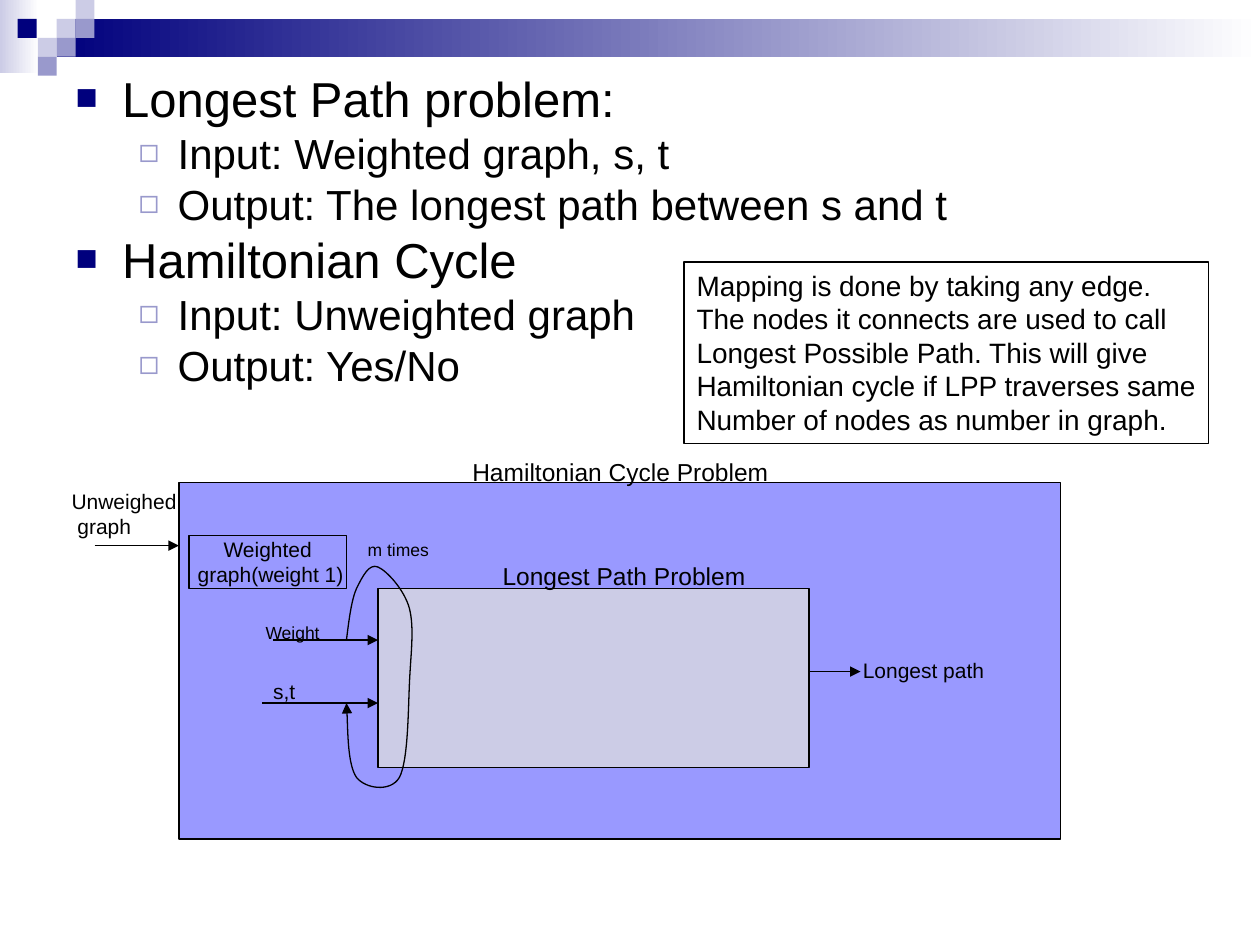
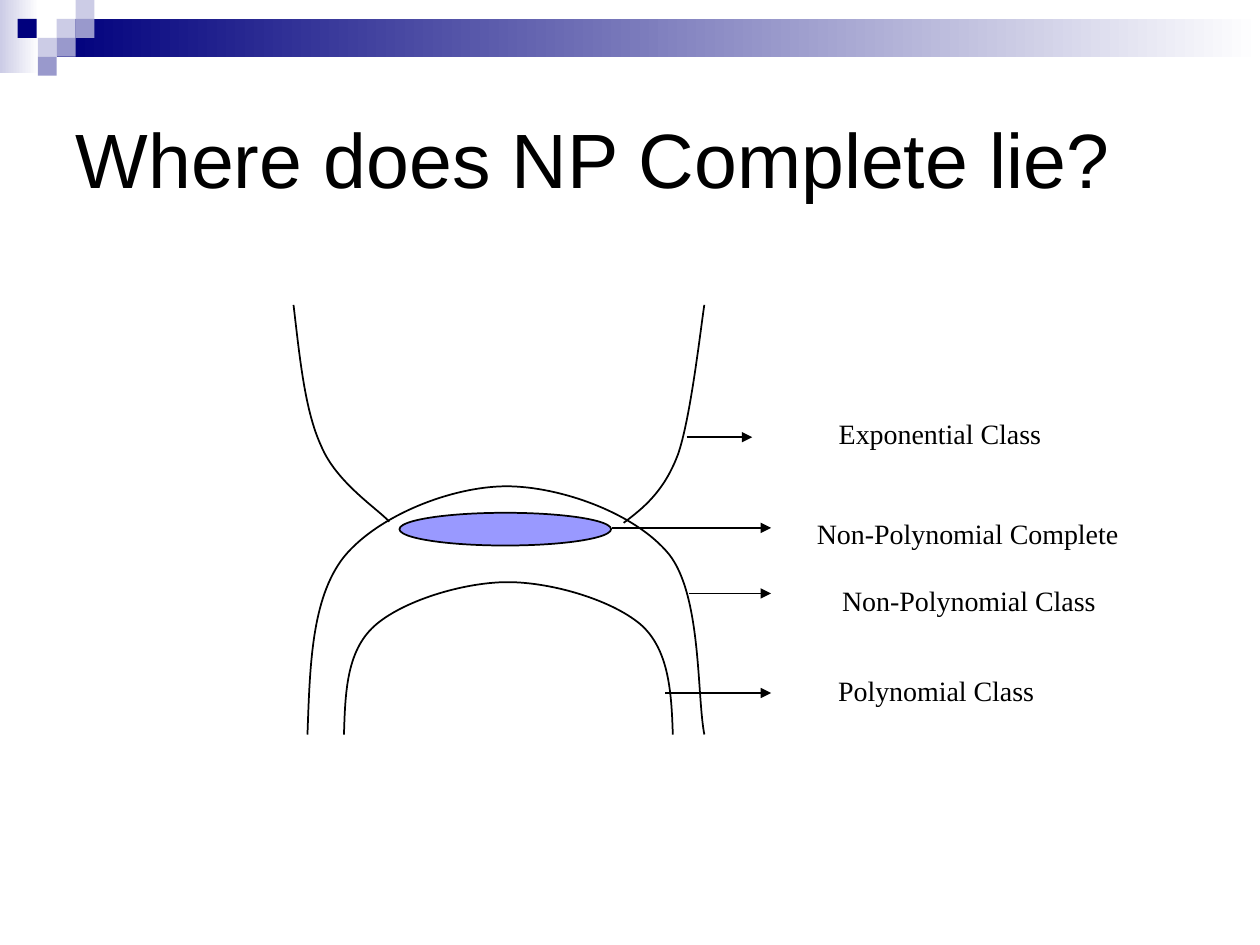
import pptx
import pptx.dml.color
import pptx.enum.shapes
import pptx.enum.text
import pptx.oxml.ns
import pptx.util
from lxml import etree

RGBColor = pptx.dml.color.RGBColor
Shape = pptx.enum.shapes.MSO_SHAPE
Align = pptx.enum.text.PP_ALIGN
Anchor = pptx.enum.text.MSO_ANCHOR
Pt = pptx.util.Pt
qn = pptx.oxml.ns.qn

PX = 9144  # EMU in one px: 100 px make one inch

BLACK = RGBColor(0x00, 0x00, 0x00)
WHITE = RGBColor(0xFF, 0xFF, 0xFF)
NAVY = RGBColor(0x00, 0x00, 0x7D)
LAVENDER = RGBColor(0xCC, 0xCC, 0xE6)
LILAC = RGBColor(0x99, 0x99, 0xCC)
PERIWINKLE = RGBColor(0x99, 0x99, 0xFF)

SANS, SERIF = "Arial", "Times New Roman"
TITLE_LAYOUT, BODY_LAYOUT = 5, 1

GRADIENT_BANDS = [((0, 0, 31, 58), LAVENDER), ((45, 15, 955, 30), NAVY)]
TILE = 15
TILES = [(45, 15, LAVENDER), (60, 0, LAVENDER), (60, 15, LILAC), (30, 30, LAVENDER),
         (14, 15, NAVY), (45, 30, LILAC), (30, 45, LILAC)]

# By outline level: text size, space before, left margin, hanging indent, bullet
LIST_LEVELS = [
    dict(size=28, before=7, margin=37, hang=37, mark="■", color=NAVY, percent=75),
    dict(size=24, before=6, margin=81, hang=31, mark="◻", color=LILAC, percent=80),
]


def apply(target, values):
    for name, value in values.items():
        setattr(target, name, value)


def emu(*lengths):
    return [length * PX for length in lengths]


class Page:
    """The style of the deck and the slide being drawn."""

    def __init__(self, deck, layout, line_width):
        self.slide = deck.slides.add_slide(deck.slide_layouts[layout])
        self.shapes = self.slide.shapes
        self.line_width = Pt(line_width)
        for place, color in GRADIENT_BANDS:
            band = self.shape(place, outlined=False)
            band.fill.gradient()
            band.fill.gradient_angle = 0
            for stop, shade in zip(band.fill.gradient_stops, (color, WHITE)):
                stop.color.rgb = shade
        for left, top, color in TILES:
            self.shape((left, top, TILE, TILE), color, outlined=False)

    def outline(self, line):
        line.color.rgb = BLACK
        line.width = self.line_width

    def arrowhead(self, line):
        etree.SubElement(line._get_or_add_ln(), qn("a:tailEnd"), type="triangle")

    def shape(self, place, fill=None, kind=Shape.RECTANGLE, outlined=True):
        shape = self.shapes.add_shape(kind, *emu(*place))
        shape.shadow.inherit = False
        if fill is None:
            shape.fill.background()
        else:
            shape.fill.solid()
            shape.fill.fore_color.rgb = fill
        if outlined:
            self.outline(shape.line)
        else:
            shape.line.fill.background()
        return shape

    def set_text(self, box, lines, size, font=SANS, align=Align.LEFT,
                 anchor=Anchor.TOP, wrap=False):
        frame = box.text_frame
        apply(frame, dict(word_wrap=wrap, vertical_anchor=anchor,
                          auto_size=pptx.enum.text.MSO_AUTO_SIZE.NONE))
        frame.text = "\n".join(lines)
        for para in frame.paragraphs:
            para.alignment = align
            apply(para.font, dict(size=Pt(size), name=font))
            para.font.color.rgb = BLACK

    def label(self, place, text, size, **style):
        box = self.shapes.add_textbox(*emu(*place))
        self.set_text(box, text.split("\n"), size, **style)

    def arrow(self, left, right, y):
        line = self.shapes.add_connector(
            pptx.enum.shapes.MSO_CONNECTOR.STRAIGHT, *emu(left, y, right, y))
        self.outline(line.line)
        self.arrowhead(line.line)
        etree.SubElement(line._element.spPr, qn("a:effectLst"))

    def curve(self, points, arrow=False):
        """Draw cubic curves: a start, then two controls and an end for each."""
        builder = self.shapes.build_freeform(*points[0], scale=PX)
        builder.add_line_segments(points[1:], close=False)
        shape = builder.convert_to_shape()
        shape.shadow.inherit = False
        shape.fill.background()
        self.outline(shape.line)
        if arrow:
            self.arrowhead(shape.line)
        route = shape._element.xpath(".//a:path")[0]
        segments = route.findall(qn("a:lnTo"))
        for start in range(0, len(segments), 3):
            bend = etree.SubElement(route, qn("a:cubicBezTo"))
            for segment in segments[start:start + 3]:
                bend.append(segment[0])
                route.remove(segment)

    def place(self, holder, bounds):
        apply(holder, dict(zip(("left", "top", "width", "height"), emu(*bounds))))

    def title(self, text):
        holder = self.shapes.title
        self.place(holder, (50, 50, 900, 150))
        self.set_text(holder, [text], 44, anchor=Anchor.MIDDLE, wrap=True)

    def bullet(self, para, style):
        props = para._p.get_or_add_pPr()
        props.set("marL", str(style["margin"] * PX))
        props.set("indent", str(-style["hang"] * PX))
        color = etree.SubElement(props, qn("a:buClr"))
        etree.SubElement(color, qn("a:srgbClr"), val=str(style["color"]))
        etree.SubElement(props, qn("a:buSzPct"), val=str(style["percent"] * 1000))
        etree.SubElement(props, qn("a:buFont"), typeface=SANS)
        etree.SubElement(props, qn("a:buChar"), char=style["mark"])

    def bullets(self, bounds, items):
        """Fill the body with (level, text) items; the slide has no title."""
        title = self.shapes.title._element
        title.getparent().remove(title)
        body = self.slide.placeholders[1]
        self.place(body, bounds)
        frame = body.text_frame
        apply(frame, dict(word_wrap=True, vertical_anchor=Anchor.TOP,
                          auto_size=pptx.enum.text.MSO_AUTO_SIZE.NONE))
        frame.text = "\n".join(text for _, text in items)
        for index, (level, _) in enumerate(items):
            para, style = frame.paragraphs[index], LIST_LEVELS[level]
            self.bullet(para, style)
            before = Pt(style["before"] if index else 0)
            apply(para, dict(level=level, line_spacing=0.8, space_before=before))
            apply(para.font, dict(size=Pt(style["size"]), name=SANS))
            para.font.color.rgb = BLACK


def build_reduction(deck):
    page = Page(deck, BODY_LAYOUT, 0.75)
    page.bullets((50, 58, 900, 296), [
        (0, "Longest Path problem:"),
        (1, "Input: Weighted graph, s, t"),
        (1, "Output: The longest path between s and t"),
        (0, "Hamiltonian Cycle"),
        (1, "Input: Unweighted graph"),
        (1, "Output: Yes/No"),
    ])
    page.shape((142, 383, 700, 283), PERIWINKLE)
    page.shape((300, 467, 342, 142), LAVENDER)
    weighted = page.shape((150, 425, 125, 42), PERIWINKLE)
    page.set_text(weighted, ["Weighted", " graph(weight 1)"], 12,
                  align=Align.CENTER, anchor=Anchor.MIDDLE)
    page.curve([(275, 508), (277, 492), (279, 476), (283, 467),
                (288, 457), (293, 447), (300, 450),
                (307, 453), (321, 468), (325, 483),
                (329, 499), (326, 519), (325, 542),
                (324, 564), (324, 604), (317, 617),
                (310, 629), (290, 626), (283, 617),
                (276, 607), (276, 571), (275, 558)], arrow=True)
    for left, right, y in [(75, 142, 433), (217, 300, 508), (208, 300, 558),
                           (642, 683, 533)]:
        page.arrow(left, right, y)
    for place, text, size in [
        ((365, 358, 255, 34), "Hamiltonian Cycle Problem", 14),
        ((389, 440, 213, 34), "Longest Path Problem", 14),
        ((282, 423, 68, 27), "m times", 10),
        ((47, 383, 103, 50), "Unweighed\n graph", 12),
        ((201, 489, 63, 27), "Weight", 10),
        ((207, 534, 37, 30), "s,t", 12),
        ((675, 517, 116, 30), "Longest path", 12),
    ]:
        page.label(place, text, size)
    mapping = page.shape((543, 208, 416, 144))
    page.set_text(mapping, [
        "Mapping is done by taking any edge.",
        "The nodes it connects are used to call",
        "Longest Possible Path. This will give",
        "Hamiltonian cycle if LPP traverses same",
        "Number of nodes as number in graph.",
    ], 16)


def build_classes(deck):
    page = Page(deck, TITLE_LAYOUT, 1)
    page.title("Where does NP Complete lie?")
    polynomial = [(273, 583), (274, 550), (275, 517), (297, 497),
                  (319, 477), (368, 462), (403, 462),
                  (439, 462), (488, 477), (510, 497),
                  (531, 517), (533, 550), (534, 583)]
    non_polynomial = [(244, 583), (246, 529), (247, 475), (273, 442),
                      (300, 409), (359, 386), (402, 386),
                      (444, 386), (504, 407), (531, 440),
                      (557, 473), (553, 553), (559, 583)]
    exponential_left = [(233, 242), (238, 284), (242, 326), (255, 354),
                        (267, 383), (300, 404), (309, 414)]
    exponential_right = [(495, 415), (511, 403), (527, 390), (538, 361),
                         (548, 333), (556, 262), (559, 242)]
    for points in (polynomial, non_polynomial, exponential_left, exponential_right):
        page.curve(points)
    page.shape((317, 407, 168, 26), PERIWINKLE, Shape.OVAL)
    for left, top, width, text in [
        (622, 530, 242, "Polynomial Class"),
        (622, 458, 294, "Non-Polynomial Class"),
        (599, 326, 294, "Exponential Class"),
        (621, 405, 294, "Non-Polynomial Complete"),
    ]:
        page.label((left, top, width, 37), text, 16, font=SERIF,
                   align=Align.CENTER, wrap=True)
    for left, right, y in [(486, 612, 419), (547, 612, 471), (528, 612, 550),
                           (545, 597, 347)]:
        page.arrow(left, right, y)


def main():
    deck = pptx.Presentation()
    deck.slide_width, deck.slide_height = emu(1000, 750)
    build_reduction(deck)
    build_classes(deck)
    deck.save("out.pptx")


if __name__ == "__main__":
    main()
